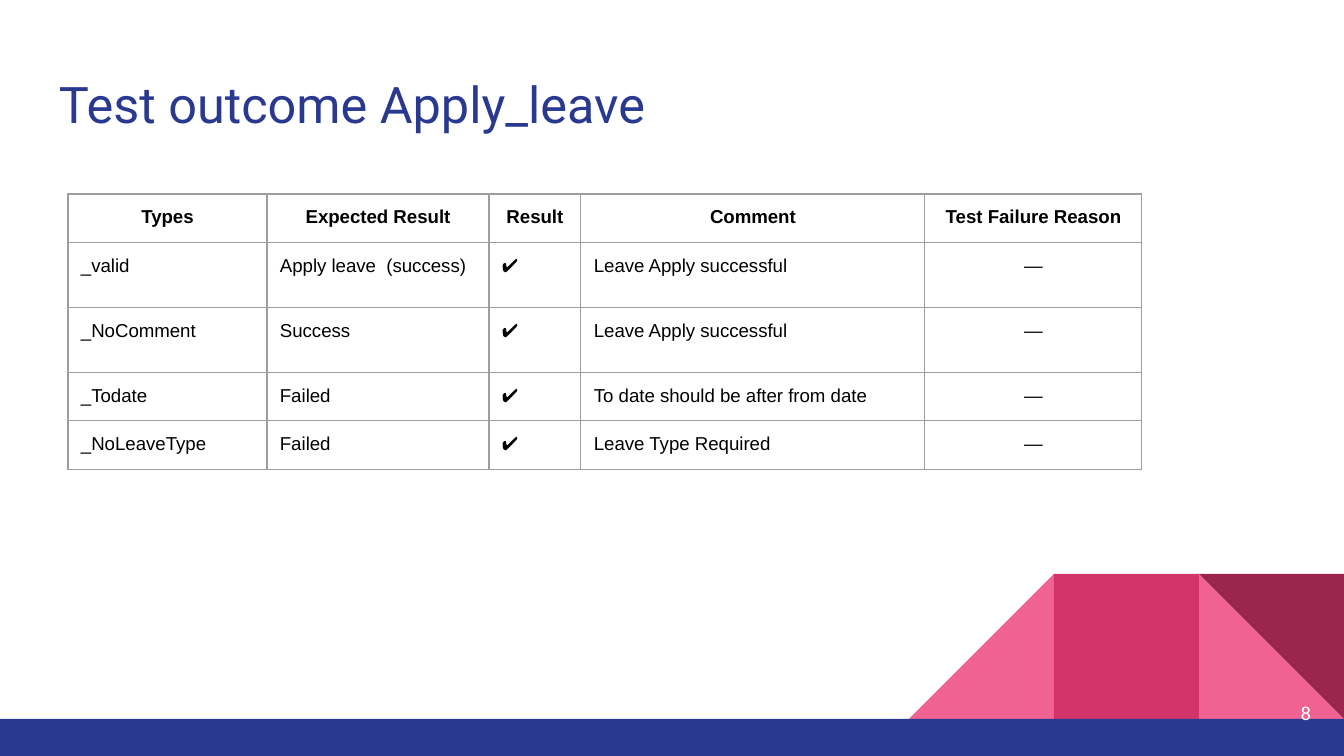
import pptx
import pptx.util
import pptx.dml.color
import pptx.enum.shapes
import pptx.enum.text
import pptx.oxml
from dataclasses import dataclass
from pptx.oxml.ns import nsdecls

SHAPE = pptx.enum.shapes.MSO_SHAPE
ALIGN = pptx.enum.text.PP_ALIGN
ANCHOR = pptx.enum.text.MSO_ANCHOR


@dataclass(frozen=True)
class Theme:
    blue: str = "2A3990"
    pink: str = "F06292"
    rose: str = "D23369"
    wine: str = "9C254D"
    black: str = "000000"
    white: str = "FFFFFF"
    grid: str = "9E9E9E"
    heading_font: str = "Roboto"
    table_font: str = "Arial"
    title_size: int = 27
    small_size: int = 10
    grid_width: float = 0.75


THEME = Theme()
WIDTH, HEIGHT = 1344, 756
INSET = 13

HEADERS = ["Types", "Expected Result", "Result", "Comment", "Test Failure Reason"]
OUTCOMES = [
    ["_valid", "Apply leave  (success)", "✔️", "Leave Apply successful", "—"],
    ["_NoComment", "Success", "✔️", "Leave Apply successful", "—"],
    ["_Todate", "Failed", "✔️", "To date should be after from date", "—"],
    ["_NoLeaveType", "Failed", "✔️", "Leave Type Required", "—"],
]
COLUMN_WIDTHS = [199, 222, 92, 344, 217]
ROW_HEIGHTS = [44, 65, 65, 44, 44]


def px(n):
    return pptx.util.Emu(round(n * 914400 / 134.4))


def rgb(code):
    return pptx.dml.color.RGBColor.from_string(code)


def style_text(tf, text, font, size, color, align=ALIGN.LEFT, bold=False):
    tf.text = text
    p = tf.paragraphs[0]
    p.alignment = align
    r = p.runs[0]
    r.font.name = font
    r.font.size = pptx.util.Pt(size)
    r.font.bold = bold
    r.font.color.rgb = rgb(color)


def add_text(s, box, text, size, color, align=ALIGN.LEFT, anchor=ANCHOR.TOP):
    tf = s.shapes.add_textbox(*map(px, box)).text_frame
    tf.word_wrap = True
    tf.vertical_anchor = anchor
    tf.margin_left = tf.margin_right = tf.margin_top = tf.margin_bottom = px(INSET)
    style_text(tf, text, THEME.heading_font, size, color, align)


def add_block(s, kind, box, color):
    sp = s.shapes.add_shape(kind, *map(px, box))
    sp.shadow.inherit = False
    sp.fill.solid()
    sp.fill.fore_color.rgb = rgb(color)
    sp.line.fill.background()
    return sp


def add_peaks(s, box):
    """Three square tiles in a row, the last one split along its diagonal."""
    left, top, width, height = box
    side = width // 3
    tiles = [(left + i * side, top, side, height) for i in range(3)]
    add_block(s, SHAPE.RIGHT_TRIANGLE, tiles[2], THEME.pink)
    slope = add_block(s, SHAPE.RIGHT_TRIANGLE, tiles[0], THEME.pink)
    slope._element.spPr.xfrm.set("flipH", "1")
    add_block(s, SHAPE.RECTANGLE, tiles[1], THEME.rose)
    add_block(s, SHAPE.RIGHT_TRIANGLE, tiles[2], THEME.wine).rotation = 180


def add_borders(cell):
    tc_pr = cell._tc.get_or_add_tcPr()
    width = pptx.util.Pt(THEME.grid_width)
    for side in ("lnL", "lnR", "lnT", "lnB"):
        tc_pr.append(pptx.oxml.parse_xml(
            f'<a:{side} {nsdecls("a")} w="{width}"><a:solidFill>'
            f'<a:srgbClr val="{THEME.grid}"/></a:solidFill></a:{side}>'))


def add_outcome_table(s, box):
    rows = [HEADERS] + OUTCOMES
    table = s.shapes.add_table(len(rows), len(HEADERS), *map(px, box)).table
    table.first_row = table.horz_banding = False
    for column, width in zip(table.columns, COLUMN_WIDTHS):
        column.width = px(width)
    for row, height in zip(table.rows, ROW_HEIGHTS):
        row.height = px(height)
    for i, values in enumerate(rows):
        for j, value in enumerate(values):
            cell = table.cell(i, j)
            cell.margin_left = cell.margin_right = px(INSET)
            cell.margin_top = cell.margin_bottom = px(INSET)
            centred = i == 0 or j == len(HEADERS) - 1
            style_text(cell.text_frame, value, THEME.table_font, THEME.small_size,
                       THEME.black, ALIGN.CENTER if centred else ALIGN.LEFT, i == 0)
            add_borders(cell)
            cell.fill.background()


def main():
    prs = pptx.Presentation()
    prs.slide_width, prs.slide_height = px(WIDTH), px(HEIGHT)
    s = prs.slides.add_slide(prs.slide_layouts[6])
    s.background.fill.solid()
    s.background.fill.fore_color.rgb = rgb(THEME.white)

    # Decoration along the bottom edge
    add_peaks(s, (909, 574, 435, 145))
    add_block(s, SHAPE.RECTANGLE, (0, 719, WIDTH, 37), THEME.blue)

    # Title and test results
    add_text(s, (46, 60, 1253, 89), "Test outcome Apply_leave",
             THEME.title_size, THEME.blue)
    add_outcome_table(s, (68, 194, sum(COLUMN_WIDTHS), sum(ROW_HEIGHTS)))

    # Slide number
    add_text(s, (1243, 684, 81, 58), "8", THEME.small_size, THEME.white,
             ALIGN.RIGHT, ANCHOR.MIDDLE)
    prs.save("out.pptx")


if __name__ == "__main__":
    main()
